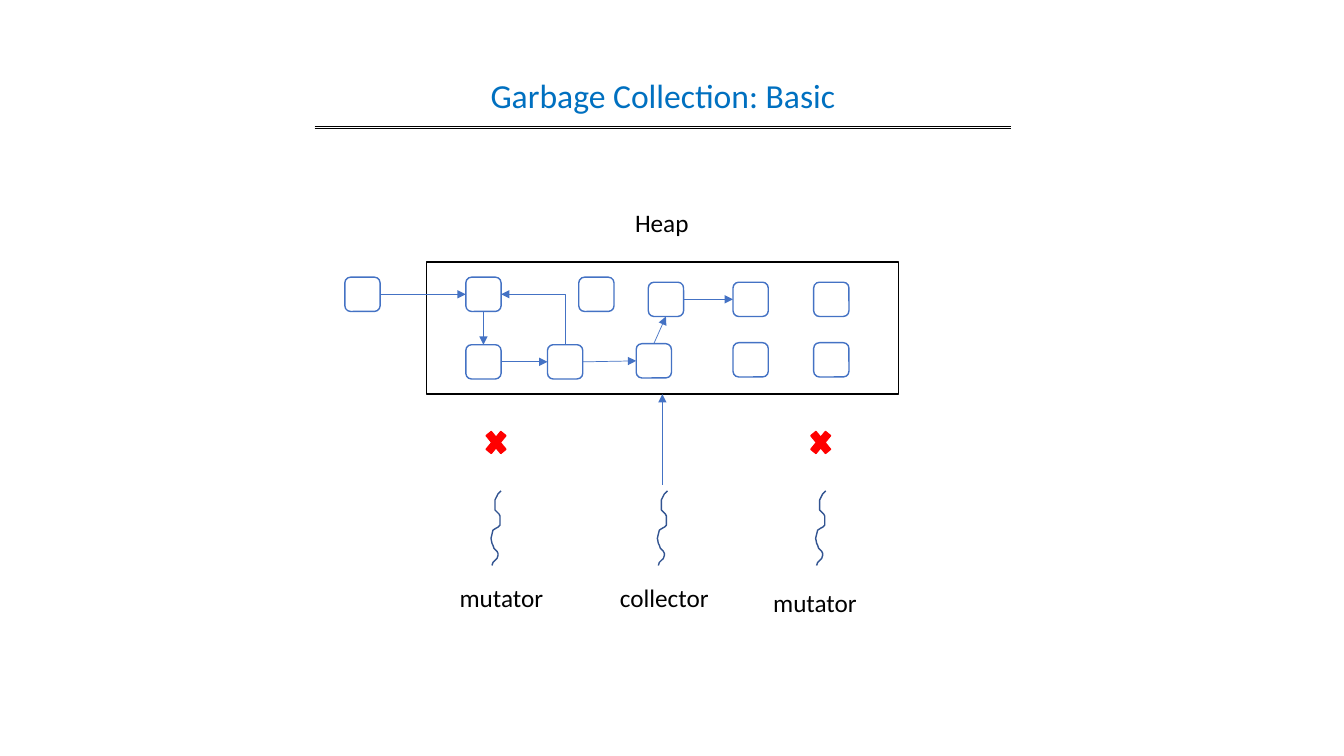
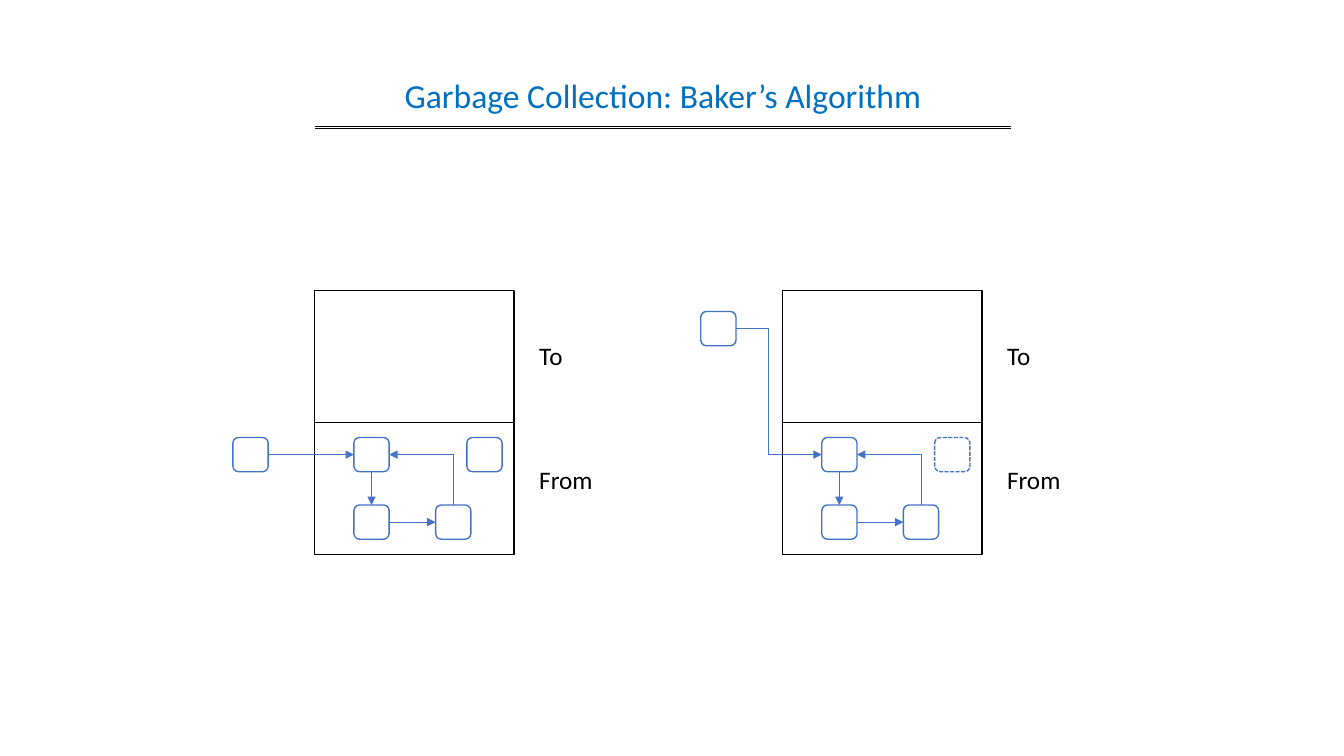
from pptx import Presentation
from pptx.dml.color import RGBColor
from pptx.enum import dml, shapes, text
from pptx.oxml import ns, xmlchemy
from pptx.util import Inches, Pt

BLACK = RGBColor(0x00, 0x00, 0x00)
WHITE = RGBColor(0xFF, 0xFF, 0xFF)
BLUE = RGBColor(0x44, 0x72, 0xC4)
NAVY = RGBColor(0x32, 0x54, 0x91)
AZURE = RGBColor(0x00, 0x70, 0xC0)
RED = RGBColor(0xFF, 0x00, 0x00)

FORM = shapes.MSO_SHAPE
WIRE = shapes.MSO_CONNECTOR
TOP, LEFT, BASE, RIGHT = range(4)  # connection sites


def box(slide, form, x, y, w=0.35, h=0.34, edge=BLUE, fill=WHITE):
    item = slide.shapes.add_shape(form, Inches(x), Inches(y), Inches(w), Inches(h))
    item.shadow.inherit = False
    item.fill.solid()
    item.fill.fore_color.rgb = fill
    item.line.color.rgb = edge
    item.line.width = Pt(1)
    return item


def link(slide, start, stop, color=BLUE, tip="tailEnd", kind=WIRE.STRAIGHT):
    """Join two ends, each a point in inches or a (shape, site) pair."""
    wire = slide.shapes.add_connector(kind, 0, 0, 0, 0)
    if isinstance(start[0], float):
        wire.begin_x, wire.begin_y = map(Inches, start)
    else:
        wire.begin_connect(*start)
    if isinstance(stop[0], float):
        wire.end_x, wire.end_y = map(Inches, stop)
    else:
        wire.end_connect(*stop)
    wire.line.color.rgb = color
    wire.line.width = Pt(0.5)
    if tip:
        end = xmlchemy.OxmlElement("a:" + tip)
        end.set("type", "triangle")
        wire.line._get_or_add_ln().append(end)
    wire._element.spPr.append(xmlchemy.OxmlElement("a:effectLst"))
    return wire


deck = Presentation()
deck.slide_width, deck.slide_height = Inches(13.33), Inches(7.5)
basic, baker = [deck.slides.add_slide(deck.slide_layouts[6]) for _ in range(2)]

# Double rule under each title
for slide in (basic, baker):
    for y in (1.25, 1.27):
        link(slide, (3.12, y), (10.03, y), BLACK, tip=None)

# Heaps: slide, left, top, width, top of the root node
HEAPS = [(basic, 4.23, 2.6, 4.68, 2.75),
         (baker, 3.12, 4.19, 1.98, 4.34),
         (baker, 7.76, 4.19, 1.98, 3.09)]
graphs = []
for slide, x, y, w, root_y in HEAPS:
    if slide is baker:
        box(slide, FORM.RECTANGLE, x, y - 1.31, w, 1.31, BLACK)
    heap = box(slide, FORM.RECTANGLE, x, y, w, 1.31, BLACK)

    # Root, a cycle of three nodes, and one unreachable node
    col, row = x + 0.39, y + 0.15
    spots = [(col - 1.2, root_y), (col, row), (col, row + 0.67),
             (col + 0.81, row + 0.67), (col + 1.12, row)]
    root, first, below, last, loose = [
        box(slide, FORM.ROUNDED_RECTANGLE, *spot) for spot in spots]
    link(slide, (first, BASE), (below, TOP))
    link(slide, (below, RIGHT), (last, LEFT))
    back = link(slide, (first, RIGHT), (last, TOP), tip="headEnd", kind=WIRE.ELBOW)
    back._element.spPr.prstGeom.set("prst", "bentConnector2")

    # The root's arrow bends when the root sits higher
    if root_y == row or abs(root_y - row) < 0.1:
        link(slide, (root, RIGHT), (first, LEFT))
    else:
        bent = link(slide, (root, RIGHT), (first, LEFT), kind=WIRE.ELBOW)
        geom = bent._element.spPr.prstGeom
        guide = xmlchemy.OxmlElement("a:gd")
        guide.set("name", "adj1")
        guide.set("fmla", "val 37600")
        geom.get_or_add_avLst().append(guide)
        loose.line.dash_style = dml.MSO_LINE.SQUARE_DOT
    graphs.append((heap, last))

# Further nodes of the basic heap
heap, last = graphs[0]
low, high, leaf, *rest = [
    box(basic, FORM.ROUNDED_RECTANGLE, *spot)
    for spot in [(6.31, 3.41), (6.43, 2.8), (7.27, 2.8),
                 (7.27, 3.4), (8.07, 2.8), (8.07, 3.4)]]
link(basic, (last, RIGHT), (low, LEFT))
link(basic, (low, TOP), (high, BASE))
link(basic, (high, RIGHT), (leaf, LEFT))

# Threads: wavy lines, in hundredths of an inch
WAVE = [(10, 0), (7, 3), (6, 5), (4, 9), (3.6, 14), (4, 19), (5, 20), (7, 22),
        (8, 23), (9, 25), (9.4, 29), (9, 34), (8, 35), (7, 36), (5, 37),
        (1.5, 39), (0.7, 43), (0.2, 47), (0.7, 52), (1.5, 54), (3, 57),
        (4.5, 58.5), (6, 60.5), (7, 62), (7, 64), (6, 67), (4, 69), (2, 71), (1, 74)]
for x in (4.87, 6.52, 8.09):
    pen = basic.shapes.build_freeform(*WAVE[0], scale=Inches(0.01))
    pen.add_line_segments(WAVE[1:], close=False)
    wave = pen.convert_to_shape(Inches(x), Inches(4.87))
    wave.shadow.inherit = False
    wave.fill.background()
    wave.line.color.rgb = NAVY
    wave.line.width = Pt(1)

# The collector works while the mutators are stopped
link(basic, (6.57, 4.81), (heap, BASE))
for x in (4.78, 8.0):
    box(basic, FORM.MATH_MULTIPLY, x, 4.22, 0.28, 0.34, RED, RED)

# Titles and labels: slide, words, left, top, width
WORDS = [(basic, "Garbage Collection: Basic", 3.18, 0.69, 6.79),
         (baker, "Garbage Collection: Baker’s Algorithm", 3.18, 0.69, 6.79),
         (basic, "Heap", 6.2, 2.01, 0.74),
         (basic, "mutator", 4.46, 5.73, 1.04),
         (basic, "collector", 6.05, 5.73, 1.09),
         (basic, "mutator", 7.57, 5.78, 1.04)]
for x in (5.25, 9.89):
    WORDS += [(baker, "To", x, 3.33, 0.44), (baker, "From", x, 4.56, 0.74)]
for slide, words, x, y, w in WORDS:
    title = y < 1
    note = slide.shapes.add_textbox(
        Inches(x), Inches(y), Inches(w), Inches(0.5 if title else 0.4))
    frame = note.text_frame
    frame.text = words
    frame.word_wrap = title
    frame.auto_size = text.MSO_AUTO_SIZE.SHAPE_TO_FIT_TEXT
    para = frame.paragraphs[0]
    para.alignment = text.PP_ALIGN.CENTER if title else text.PP_ALIGN.LEFT
    font = para.runs[0].font
    font.name = "Calibri"
    font.size = Pt(24 if title else 18)
    font.color.rgb = AZURE if title else BLACK

deck.save("out.pptx")
